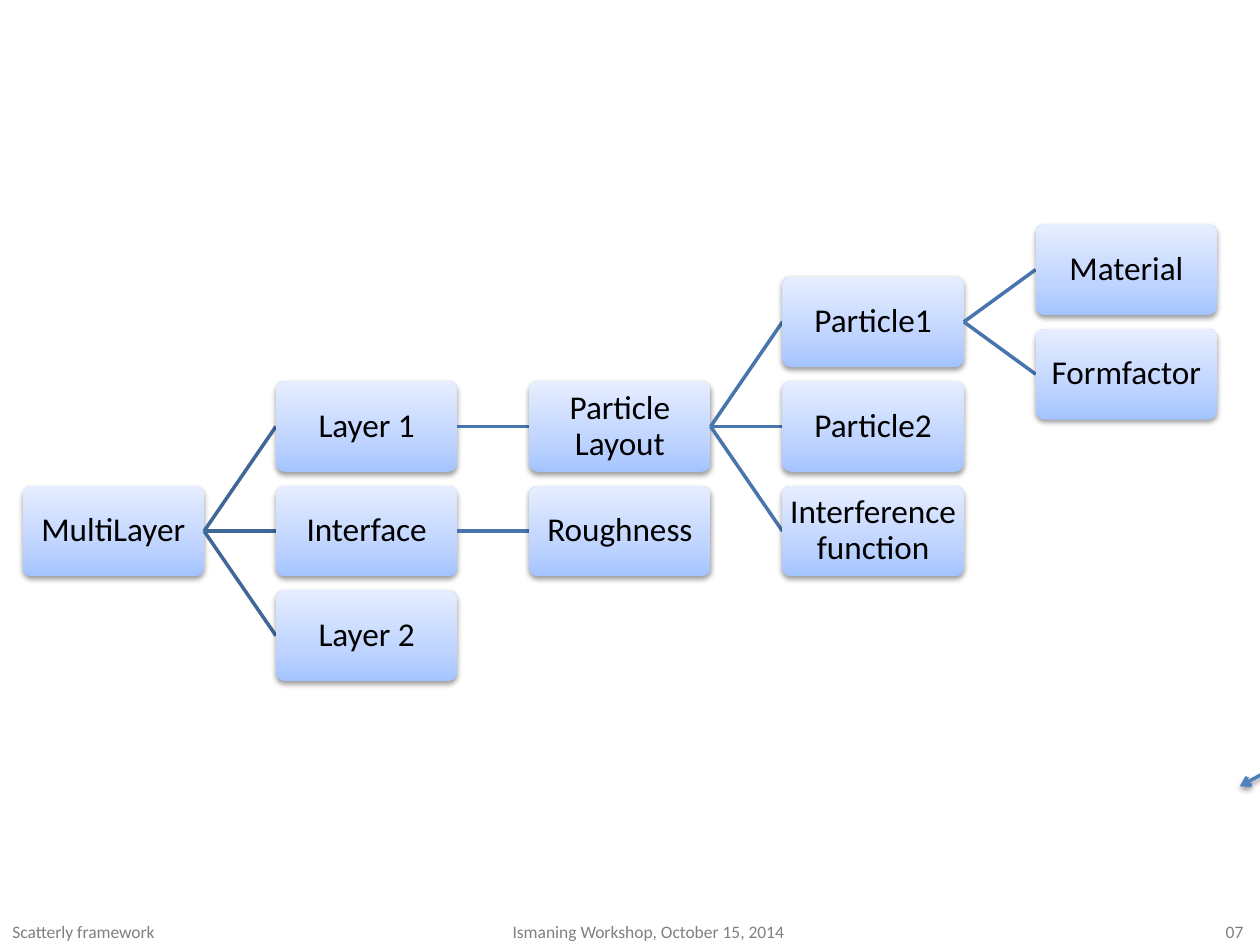
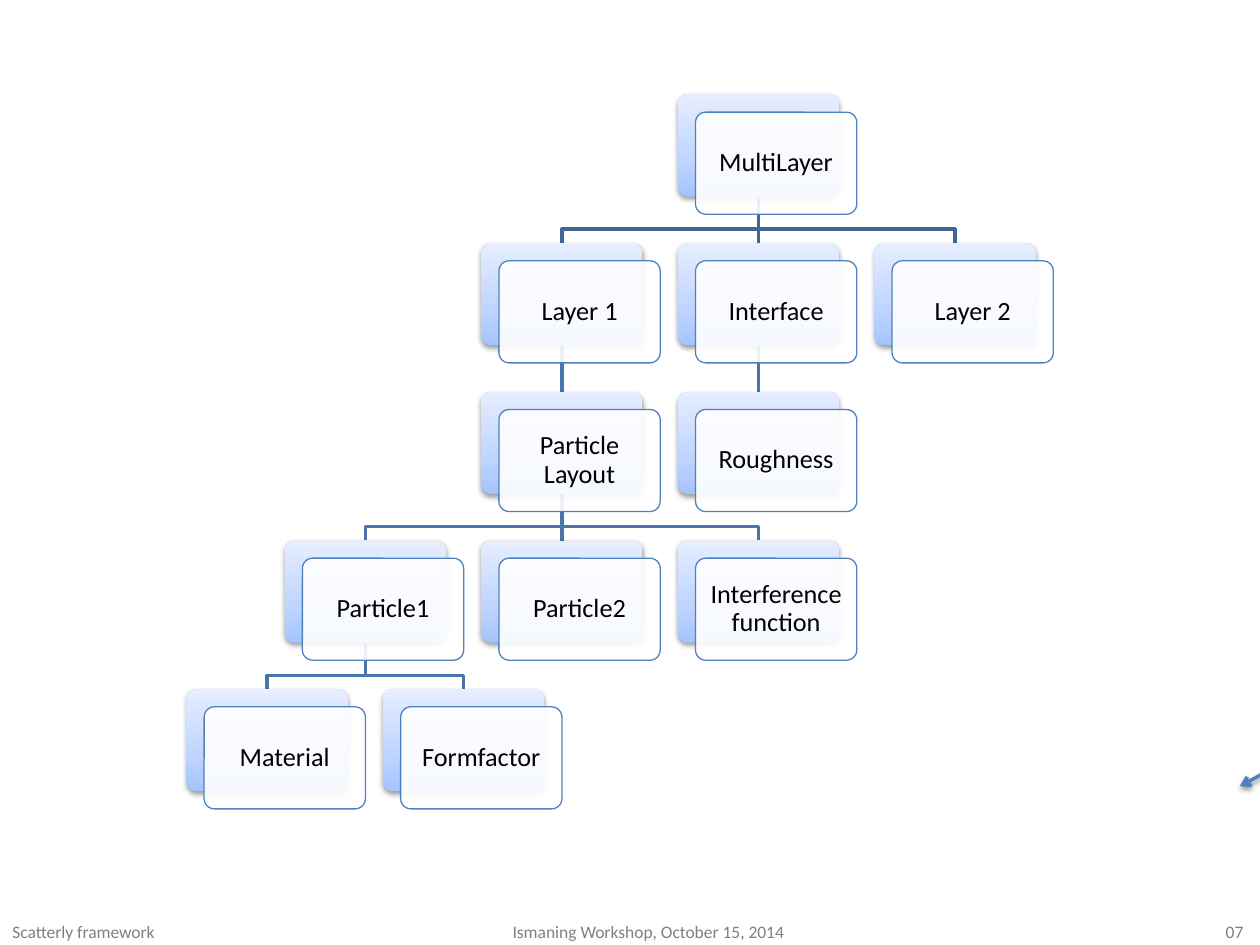
from dataclasses import dataclass

from pptx import Presentation
from pptx.dml import color as dml
from pptx.enum import shapes, text
from pptx.oxml import ns
from pptx.util import Inches, Pt
from lxml import etree

FONT = "Calibri"
BLACK, WHITE, GREY = "000000", "FFFFFF", "808080"
OUTLINE, FIRST_LINK, DEEP_LINK = "4F81BD", "3F6797", "4875AC"
NODE_GRADIENT = [(0, "A4C4FF"), (35, "BFD4FF"), (100, "E6EEFF")]
FOOTER = "Scatterly framework\tIsmaning Workshop, October 15, 2014\t07"


@dataclass
class Node:
    name: str
    parent: str
    depth: int
    row: int
    column: int


NODES = [
    Node("MultiLayer", "", 0, 5, 5),
    Node("Layer 1", "MultiLayer", 1, 3, 3),
    Node("Layer 2", "MultiLayer", 1, 7, 7),
    Node("Interface", "MultiLayer", 1, 5, 5),
    Node("Particle Layout", "Layer 1", 2, 3, 3),
    Node("Roughness", "Interface", 2, 5, 5),
    Node("Particle1", "Particle Layout", 3, 1, 1),
    Node("Interference function", "Particle Layout", 3, 5, 5),
    Node("Particle2", "Particle Layout", 3, 3, 3),
    Node("Material", "Particle1", 4, 0, 0),
    Node("Formfactor", "Particle1", 4, 2, 2),
]
BY_NAME = {node.name: node for node in NODES}


def rgb(value):
    return dml.RGBColor.from_string(value)


def add_xml(parent, tag, **attributes):
    element = etree.SubElement(parent, ns.qn(tag))
    for name, value in attributes.items():
        element.set(name, str(value))
    return element


def add_color(parent, value, alpha=100):
    color = add_xml(parent, "a:srgbClr", val=value)
    if alpha < 100:
        add_xml(color, "a:alpha", val=alpha * 1000)


def add_effects(shape, shadow=False):
    properties = shape._element.spPr
    effects = add_xml(properties, "a:effectLst")
    if shadow:
        outer = add_xml(effects, "a:outerShdw", blurRad=Pt(3.1), dist=Pt(1.6),
                        dir=90 * 60000, rotWithShape=0)
        add_color(outer, BLACK, 38)


def fill_gradient(shape):
    shape.fill.gradient()
    shape.fill.gradient_angle = 90
    stops = shape._element.spPr.find(".//" + ns.qn("a:gsLst"))
    for stop in list(stops):
        stops.remove(stop)
    for position, value in NODE_GRADIENT:
        add_color(add_xml(stops, "a:gs", pos=position * 1000), value)


def fill_translucent(shape, value, alpha):
    shape.fill.solid()
    shape.fill.fore_color.rgb = rgb(value)
    color = shape._element.spPr.find(".//" + ns.qn("a:srgbClr"))
    add_xml(color, "a:alpha", val=alpha * 1000)


def write(shape, words, size, color=BLACK, align=text.PP_ALIGN.CENTER,
          anchor=text.MSO_ANCHOR.MIDDLE, margins=(0.01, 0.01), spacing=0.9):
    frame = shape.text_frame
    frame.word_wrap = True
    frame.vertical_anchor = anchor
    frame.margin_left = frame.margin_right = Inches(margins[0])
    frame.margin_top = frame.margin_bottom = Inches(margins[1])
    paragraph = frame.paragraphs[0]
    paragraph.alignment = align
    paragraph.line_spacing = spacing
    run = paragraph.add_run()
    run.text = words
    run.font.name = FONT
    run.font.size = Pt(size)
    run.font.color.rgb = rgb(color)
    return paragraph


def add_rounded(slide, left, top, width, height):
    shape = slide.shapes.add_shape(
        shapes.MSO_SHAPE.ROUNDED_RECTANGLE,
        Inches(left), Inches(top), Inches(width), Inches(height))
    shape.adjustments[0] = 0.1
    return shape


def add_node(slide, left, top, width, height):
    shape = add_rounded(slide, left, top, width, height)
    fill_gradient(shape)
    shape.line.fill.background()
    add_effects(shape, shadow=True)
    return shape


def add_card(slide, left, top, width, height):
    shape = add_rounded(slide, left, top, width, height)
    fill_translucent(shape, WHITE, 90)
    shape.line.color.rgb = rgb(OUTLINE)
    shape.line.width = Pt(0.75)
    add_effects(shape)
    return shape


def add_line(slide, points, color, shadow=False):
    points = [(Inches(x), Inches(y)) for x, y in points]
    if len(points) == 2:
        line = slide.shapes.add_connector(
            shapes.MSO_CONNECTOR.STRAIGHT, *points[0], *points[1])
    else:
        builder = slide.shapes.build_freeform(*points[0])
        builder.add_line_segments(points[1:], close=False)
        line = builder.convert_to_shape()
        line.fill.background()
    line.line.color.rgb = rgb(color)
    line.line.width = Pt(2)
    add_effects(line, shadow)
    return line


def link_color(node):
    return FIRST_LINK if node.depth == 1 else DEEP_LINK


def add_horizontal_tree(slide):
    width, height = 1.44, 0.72

    def corner(node):
        return 0.18 + 2.01 * node.depth, 1.78 + 0.83 * node.row / 2

    for node in NODES:
        left, top = corner(node)
        if node.parent:
            parent_left, parent_top = corner(BY_NAME[node.parent])
            add_line(slide, [(parent_left + width, parent_top + height / 2),
                             (left, top + height / 2)], link_color(node))
        write(add_node(slide, left, top, width, height), node.name, 19)


def add_vertical_tree(slide):
    width, height, offset, bend = 1.28, 0.81, 0.14, 0.11

    def corner(node):
        return 1.48 + 0.78 * node.column, 0.75 + 1.18 * node.depth

    for node in NODES[1:]:
        left, top = corner(node)
        parent_left, parent_top = corner(BY_NAME[node.parent])
        start = (parent_left + width / 2, parent_top + height)
        end = (left + width / 2, top)
        if node.column == BY_NAME[node.parent].column:
            points = [start, end]
        else:
            points = [start, (start[0], top - bend), (end[0], top - bend), end]
        add_line(slide, points, link_color(node))
    for node in NODES:
        left, top = corner(node)
        add_node(slide, left, top, width, height)
        card = add_card(slide, left + offset, top + offset, width, height)
        write(card, node.name, 15, margins=(0.06, 0.06))


def add_edge_arrow(slide):
    arrow = add_line(slide, [(11.15, 5.53), (9.84, 6.24)], OUTLINE, shadow=True)
    add_xml(arrow.line._get_or_add_ln(), "a:tailEnd", type="arrow")


def add_footer(slide):
    box = slide.shapes.add_textbox(0, Inches(7.26), Inches(10.06), Inches(0.27))
    paragraph = write(box, FOOTER, 10, GREY, text.PP_ALIGN.LEFT,
                      text.MSO_ANCHOR.TOP, margins=(0.1, 0.05), spacing=1.0)
    tabs = add_xml(paragraph._p.get_or_add_pPr(), "a:tabLst")
    add_xml(tabs, "a:tab", pos=Inches(3.97), algn="l")
    add_xml(tabs, "a:tab", pos=Inches(9.77), algn="r")


def main():
    presentation = Presentation()
    presentation.slide_width = Inches(10)
    presentation.slide_height = Inches(7.5)
    for add_tree in (add_horizontal_tree, add_vertical_tree):
        slide = presentation.slides.add_slide(presentation.slide_layouts[6])
        add_tree(slide)
        add_edge_arrow(slide)
        add_footer(slide)
    presentation.save("out.pptx")


if __name__ == "__main__":
    main()
